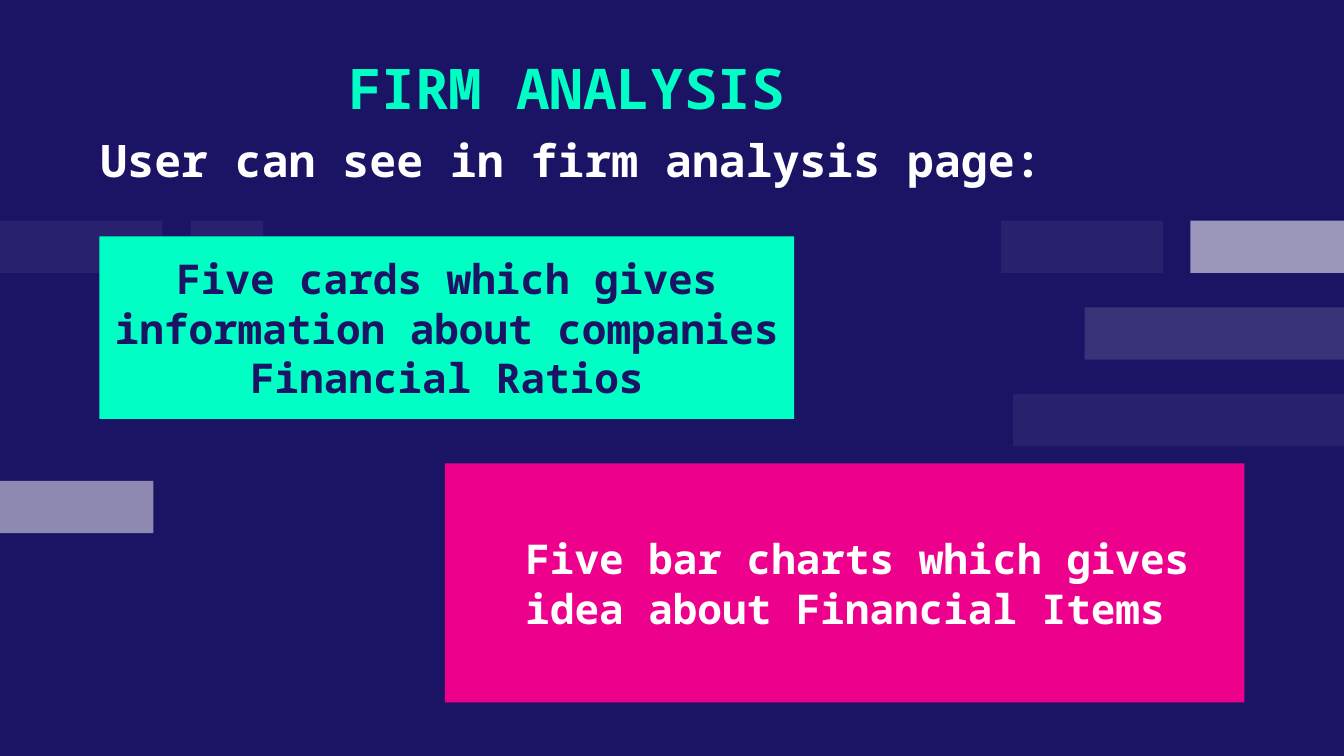
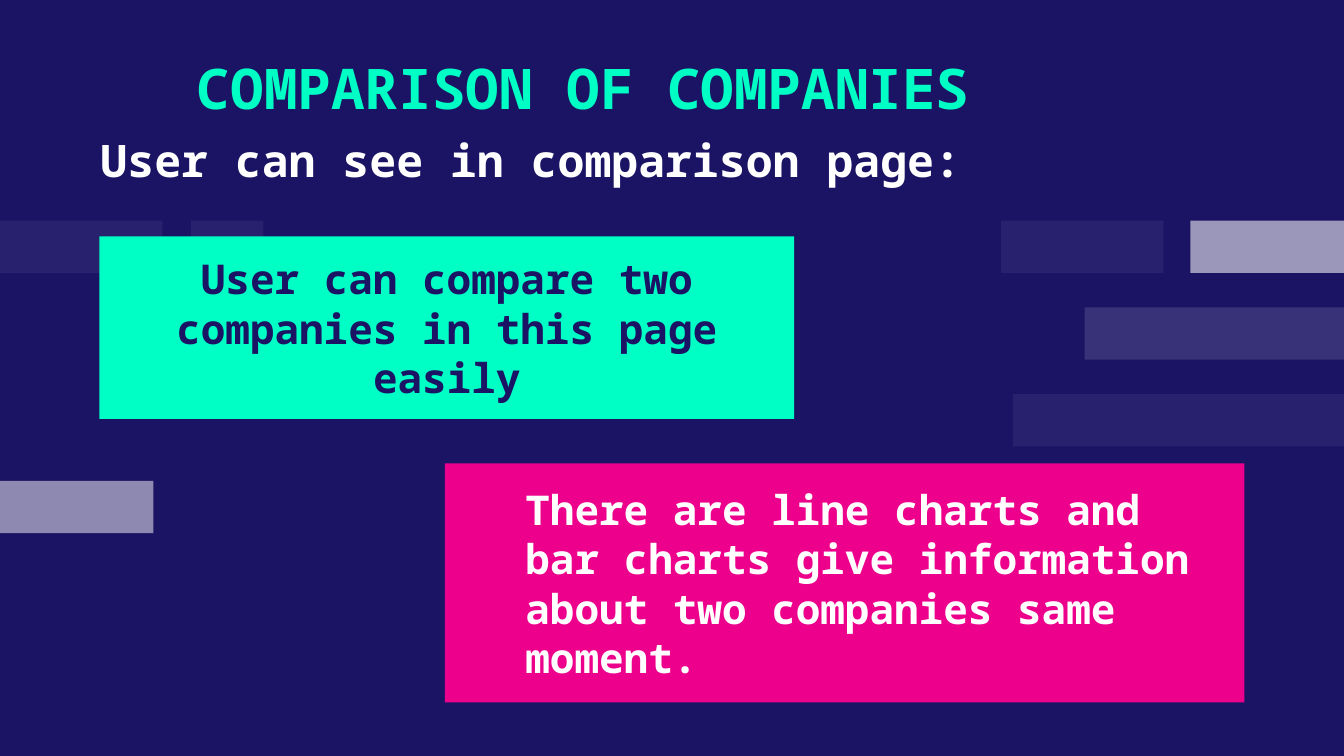
from lxml import etree
from pptx import Presentation
from pptx import util as u
from pptx.dml.color import RGBColor
from pptx.enum import shapes, text
from pptx.oxml.ns import qn

FONT = "Noto Sans Mono"
NAVY, MINT, PINK, WHITE = "1B1464", "00FFC5", "EC008C", "FFFFFF"
PAGE = (0, 0, 25.4, 14.29)
BAND_TOP, BAND_PITCH, BAND_HEIGHT = 4.17, 1.64, 0.99
# Each band is row, left, width, opacity in percent.
BANDS = [
    (1, 20.5, 4.9, 13), (0, 18.92, 3.07, 6), (2, 19.15, 6.25, 6),
    (0, 22.5, 2.9, 56), (3, 0, 2.9, 50), (0, 0, 3.07, 6), (0, 3.61, 1.37, 6),
]
SLIDES = [
    ("FIRM ANALYSIS ", "User can see in firm analysis page:",
     "Five cards which gives information about companies Financial Ratios",
     "Five bar charts which gives idea about Financial Items"),
    ("COMPARISON OF COMPANIES", "User can see in comparison page:",
     "User can compare two companies in this page easily",
     "There are line charts and bar charts give information about two "
     "companies same moment."),
]


def paint(fill, color):
    """Give a fill one solid colour from a hex string."""
    fill.solid()
    fill.fore_color.rgb = RGBColor.from_string(color)


def place(sp, box):
    """Move a shape to a box given in centimetres."""
    sp.left, sp.top, sp.width, sp.height = map(u.Cm, box)


def write(sp, words, size, color, align, anchor, indent=0):
    """Set the single paragraph of a shape in the deck's bold font."""
    tf = sp.text_frame
    tf.text = words
    tf.word_wrap = True
    tf.auto_size = text.MSO_AUTO_SIZE.NONE
    tf.vertical_anchor = anchor
    p = tf.paragraphs[0]
    p.alignment = align
    p.font.name, p.font.size, p.font.bold = FONT, u.Pt(size), True
    paint(p.font.fill, color)
    if indent:
        pPr = p._p.get_or_add_pPr()
        pPr.set("marL", str(u.Cm(indent)))
        pPr.set("indent", "0")


def add_rect(s, box, color):
    """Add a flat rectangle without outline."""
    sp = s.shapes.add_shape(shapes.MSO_SHAPE.RECTANGLE, *map(u.Cm, box))
    sp.shadow.inherit = False
    sp.line.fill.background()
    paint(sp.fill, color)
    return sp


def add_bands(s, box):
    """Scatter the translucent bands over the page box."""
    left, top = box[:2]
    for row, x, width, opacity in BANDS:
        y = top + BAND_TOP + row * BAND_PITCH
        sp = add_rect(s, (left + x, y, width, BAND_HEIGHT), WHITE)
        clr = sp.fill._xPr.find(qn("a:solidFill"))[0]
        etree.SubElement(clr, qn("a:alpha"), val=str(opacity * 1000))


def add_heading(s, box, title, subtitle):
    """Format the title at the top of the box and the subtitle below it."""
    left, top, width = box[:3]
    sp = s.shapes.title
    place(sp, (left, top, width, 1.85))
    sp.text_frame.margin_top = sp.text_frame.margin_bottom = u.Cm(0.25)
    write(sp, title, 30, MINT, text.PP_ALIGN.CENTER, text.MSO_ANCHOR.TOP)
    lead = (left - 0.23, top + 1.63, width + 1.42, 1.27)
    sp = s.shapes.add_textbox(*map(u.Cm, lead))
    write(sp, subtitle, 24, WHITE, text.PP_ALIGN.LEFT, text.MSO_ANCHOR.TOP)


def add_cards(s, box, first, second):
    """Set two cards in opposite corners of the box."""
    left, top, width, height = box
    sp = add_rect(s, (left, top, 13.13, 3.45), MINT)
    write(sp, first, 22, NAVY, text.PP_ALIGN.CENTER, text.MSO_ANCHOR.MIDDLE)
    w, h = 15.11, 4.52
    sp = add_rect(s, (left + width - w, top + height - h, w, h), PINK)
    write(sp, second, 22, WHITE, text.PP_ALIGN.LEFT, text.MSO_ANCHOR.MIDDLE,
          indent=1.27)


def add_page(prs, title, subtitle, first, second):
    """Build one slide with bands, heading and two cards."""
    s = prs.slides.add_slide(prs.slide_layouts[5])
    add_bands(s, PAGE)
    add_heading(s, (1.88, 0.76, 18.29, 2.9), title, subtitle)
    add_cards(s, (1.88, 4.47, 21.64, 8.81), first, second)


def main():
    """Build and save the deck."""
    prs = Presentation()
    prs.slide_width, prs.slide_height = map(u.Cm, PAGE[2:])
    paint(prs.slide_master.background.fill, NAVY)
    for words in SLIDES:
        add_page(prs, *words)
    prs.save("out.pptx")


if __name__ == "__main__":
    main()
